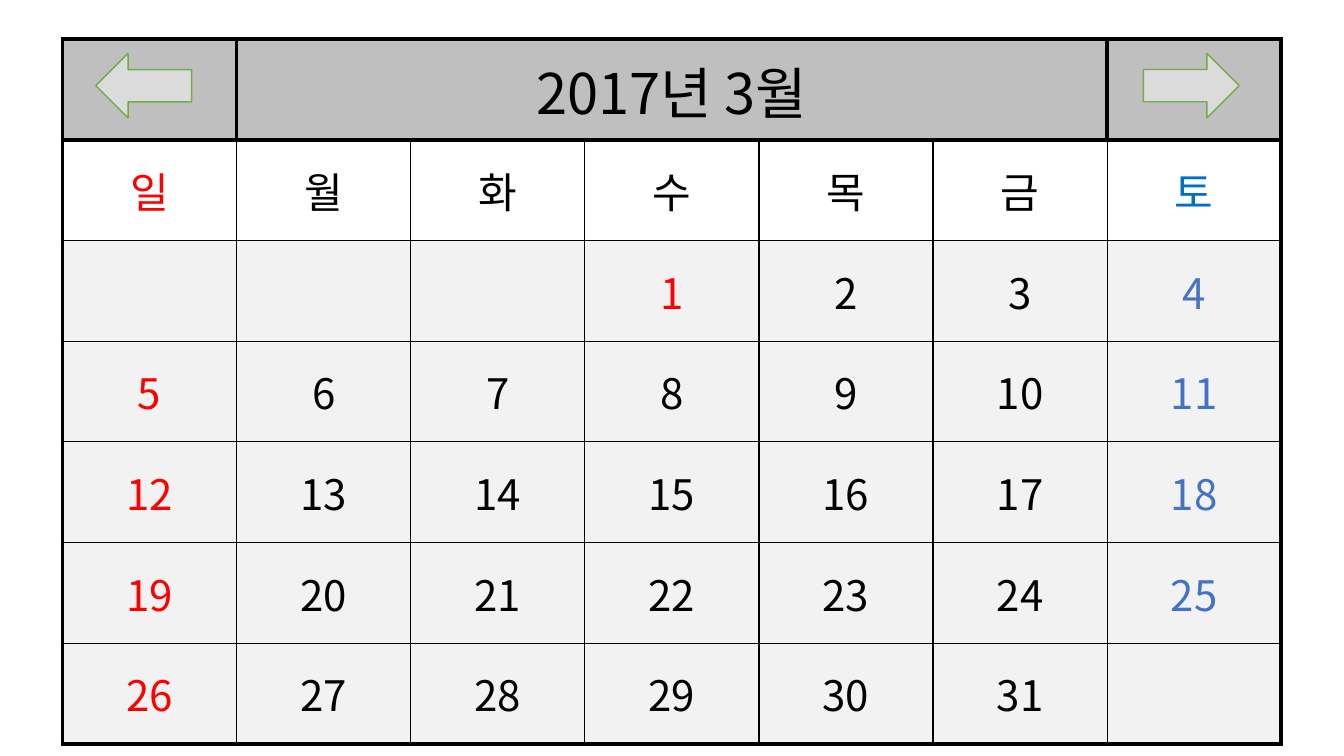
from dataclasses import dataclass

from lxml.etree import SubElement
from pptx import Presentation
from pptx.dml.color import RGBColor
from pptx.enum.shapes import MSO_SHAPE
from pptx.enum.text import MSO_ANCHOR, PP_ALIGN
from pptx.oxml.ns import qn
from pptx.util import Inches, Pt


@dataclass(frozen=True)
class Theme:
    font: str = "Noto Sans CJK KR"
    title_size: int = 40
    day_size: int = 30
    black: str = "000000"
    holiday: str = "FF0000"
    saturday_name: str = "0070C0"
    saturday: str = "4472C4"
    title_fill: str = "BFBFBF"
    weekday_fill: str = "FFFFFF"
    day_fill: str = "F2F2F2"
    arrow_fill: str = "DBDBDB"
    arrow_line: str = "70AD47"
    thick: int = 3
    thin: int = 1


@dataclass(frozen=True)
class Arrow:
    left: float
    rotation: int


THEME = Theme()
TITLE = "2017년 3월"
WEEKDAYS = "일월화수목금토"
ROWS, COLS = 7, len(WEEKDAYS)
FIRST_COL, LAST_DAY = 3, 31
HOLIDAYS = {1}
ARROWS = [Arrow(11.34, 0), Arrow(0.95, 180)]


def rgb(value: str) -> RGBColor:
    return RGBColor.from_string(value)


def set_borders(cell, row: int, col: int) -> None:
    heavy = {
        "L": row == 0 or col == 0,
        "R": row == 0 or col == COLS - 1,
        "T": row <= 1,
        "B": row in (0, ROWS - 1),
    }
    tc_pr = cell._tc.get_or_add_tcPr()
    for side, is_heavy in heavy.items():
        width = THEME.thick if is_heavy else THEME.thin
        ln = SubElement(tc_pr, qn(f"a:ln{side}"), w=str(Pt(width)))
        fill = SubElement(ln, qn("a:solidFill"))
        SubElement(fill, qn("a:srgbClr"), val=THEME.black)


def write(cell, text: str, size: int, color: str) -> None:
    p = cell.text_frame.paragraphs[0]
    p.alignment = PP_ALIGN.CENTER
    r = p.add_run()
    r.text = text
    r.font.size = Pt(size)
    r.font.name = THEME.font
    r.font.color.rgb = rgb(color)
    SubElement(r._r.get_or_add_rPr(), qn("a:ea"), typeface=THEME.font)


def day_color(day: int, col: int) -> str:
    if col == 0 or day in HOLIDAYS:
        return THEME.holiday
    return THEME.saturday if col == COLS - 1 else THEME.black


def add_calendar(s) -> None:
    frame = s.shapes.add_table(ROWS, COLS, Inches(0.62), Inches(0.39), Inches(12.09), Inches(6.99))
    table = frame.table
    table.cell(0, 1).merge(table.cell(0, COLS - 2))
    row_fills = [THEME.title_fill, THEME.weekday_fill] + [THEME.day_fill] * (ROWS - 2)
    for row, fill in enumerate(row_fills):
        for col in range(COLS):
            cell = table.cell(row, col)
            set_borders(cell, row, col)
            cell.fill.solid()
            cell.fill.fore_color.rgb = rgb(fill)
            cell.vertical_anchor = MSO_ANCHOR.MIDDLE

    write(table.cell(0, 1), TITLE, THEME.title_size, THEME.black)
    name_colors = {0: THEME.holiday, COLS - 1: THEME.saturday_name}
    for col, name in enumerate(WEEKDAYS):
        write(table.cell(1, col), name, THEME.day_size, name_colors.get(col, THEME.black))
    for day in range(1, LAST_DAY + 1):
        week, col = divmod(day - 1 + FIRST_COL, COLS)
        write(table.cell(week + 2, col), str(day), THEME.day_size, day_color(day, col))


def add_arrow(s, arrow: Arrow) -> None:
    sp = s.shapes.add_shape(
        MSO_SHAPE.RIGHT_ARROW, Inches(arrow.left), Inches(0.53), Inches(0.95), Inches(0.64)
    )
    sp.rotation = arrow.rotation
    sp.shadow.inherit = False
    sp.fill.solid()
    sp.fill.fore_color.rgb = rgb(THEME.arrow_fill)
    sp.line.color.rgb = rgb(THEME.arrow_line)
    sp.line.width = Pt(THEME.thin)


def main() -> None:
    prs = Presentation()
    prs.slide_width, prs.slide_height = Inches(13.33), Inches(7.5)
    s = prs.slides.add_slide(prs.slide_layouts[6])
    add_calendar(s)
    for arrow in ARROWS:
        add_arrow(s, arrow)
    prs.save("out.pptx")


if __name__ == "__main__":
    main()
